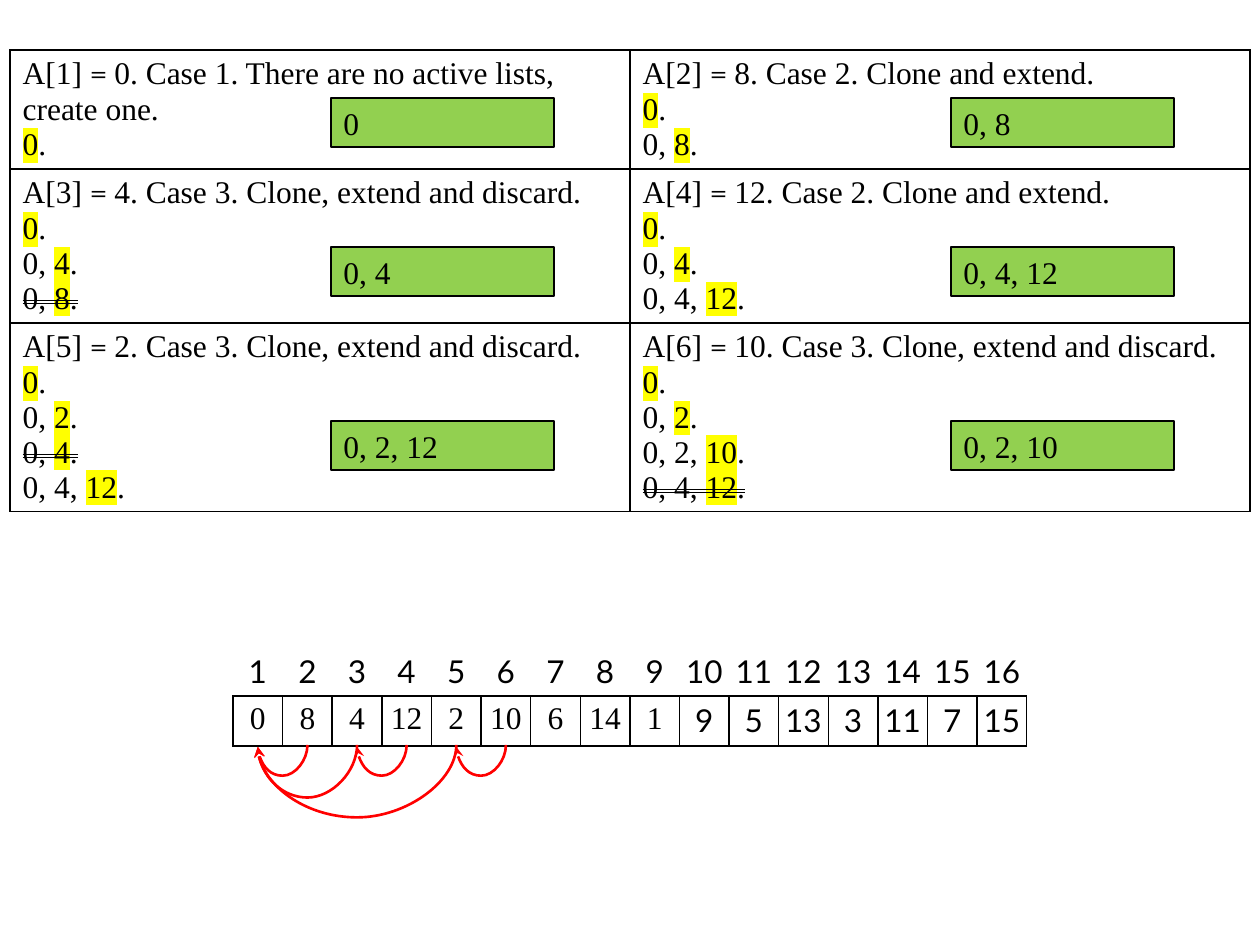
from dataclasses import dataclass

from lxml.etree import SubElement
from pptx import Presentation
from pptx.dml.color import RGBColor
from pptx.enum.shapes import MSO_CONNECTOR as Connector, MSO_SHAPE as Shape
from pptx.enum.text import MSO_ANCHOR as Anchor, PP_ALIGN as Align
from pptx.oxml.ns import qn
from pptx.util import Emu, Pt

EMU_PER_PX = 914400 / 126
COLORS = {"ink": "000000", "mark": "FFFF00", "list": "92D050", "link": "FF0000"}
SERIF, MATH, SANS = "Times New Roman", "Cambria", "Lato"


@dataclass
class Step:
    value: int
    case: str
    lists: list[str]
    longest: str
    discarded: int | None = None


@dataclass
class Link:
    start: int
    end: int
    depth: int


EXTEND = "Case 2. Clone and extend."
DISCARD = "Case 3. Clone, extend and discard."
STEPS = [
    Step(0, "Case 1. There are no active lists, create one.", ["0"], "0"),
    Step(8, EXTEND, ["0", "0, 8"], "0, 8"),
    Step(4, DISCARD, ["0", "0, 4", "0, 8"], "0, 4", discarded=2),
    Step(12, EXTEND, ["0", "0, 4", "0, 4, 12"], "0, 4, 12"),
    Step(2, DISCARD, ["0", "0, 2", "0, 4", "0, 4, 12"], "0, 2, 12", discarded=2),
    Step(10, DISCARD, ["0", "0, 2", "0, 2, 10", "0, 4, 12"], "0, 2, 10", discarded=3),
]
ARRAY = [0, 8, 4, 12, 2, 10, 6, 14, 1, 9, 5, 13, 3, 11, 7, 15]
SERIF_COUNT = 9
LINKS = [Link(2, 1, 31), Link(3, 1, 53), Link(6, 5, 31), Link(4, 3, 31), Link(5, 1, 73)]

# Layout, in px
STEPS_LEFT, STEPS_TOP, STEP_WIDTH = 10, 50, 620
STEP_HEIGHTS = [119, 154, 188]
LONGEST_LEFT, LONGEST_TOPS = 331, [98, 247, 421]
ARRAY_LEFT, ARRAY_TOP, ARRAY_WIDTH, ARRAY_ROW = 233, 646, 794, 50
LINK_DROP = 2


def px(length: float) -> Emu:
    return Emu(round(length * EMU_PER_PX))


def rgb(name: str) -> RGBColor:
    return RGBColor.from_string(COLORS[name])


def add_text(paragraph, text: str, *, font: str = SERIF, align=None,
             marked: bool = False, struck: bool = False) -> None:
    if align is not None:
        paragraph.alignment = align
    run = paragraph.add_run()
    run.text = text
    run.font.size, run.font.name = Pt(18), font
    run.font.color.rgb = rgb("ink")
    properties = run.font._element
    if struck:
        properties.set("strike", "dblStrike")
    if marked:
        highlight = SubElement(properties, qn("a:highlight"))
        SubElement(highlight, qn("a:srgbClr"), val=COLORS["mark"])
        properties.find(qn("a:solidFill")).addnext(highlight)


def style_cell(cell, sides: str) -> None:
    properties = cell._tc.get_or_add_tcPr()
    for side in sides:
        border = SubElement(properties, qn(f"a:ln{side}"), w=str(Pt(1)))
        fill = SubElement(border, qn("a:solidFill"))
        SubElement(fill, qn("a:srgbClr"), val=COLORS["ink"])
    cell.fill.background()


def add_grid(slide, left: int, top: int, width: int, heights: list[int], columns: int):
    table = slide.shapes.add_table(
        len(heights), columns, px(left), px(top), px(width), px(sum(heights))).table
    table.first_row = table.horz_banding = False
    for column in table.columns:
        column.width = px(width / columns)
    for row, height in zip(table.rows, heights):
        row.height = px(height)
    return table


def write_step(cell, number: int, step: Step) -> None:
    style_cell(cell, "LRTB")
    heading = cell.text_frame.paragraphs[0]
    add_text(heading, f"A[{number}] ")
    add_text(heading, "= ", font=MATH)
    add_text(heading, f"{step.value}. {step.case}")
    for index, numbers in enumerate(step.lists):
        line = cell.text_frame.add_paragraph()
        struck = index == step.discarded
        *earlier, last = numbers.split(", ")
        if earlier:
            add_text(line, ", ".join(earlier) + ", ", struck=struck)
        add_text(line, last, marked=True, struck=struck)
        add_text(line, ".", struck=struck)


def add_longest(slide, left: int, top: int, numbers: str) -> None:
    box = slide.shapes.add_shape(Shape.RECTANGLE, px(left), px(top), px(223), px(49))
    box.shadow.inherit = False
    box.fill.solid()
    box.fill.fore_color.rgb = rgb("list")
    box.line.color.rgb = rgb("ink")
    box.line.width = Pt(0.75)
    box.text_frame.word_wrap = True
    box.text_frame.vertical_anchor = Anchor.TOP
    add_text(box.text_frame.paragraphs[0], numbers, align=Align.LEFT)


def write_array_cell(cell, value: int, font: str, sides: str) -> None:
    style_cell(cell, sides)
    cell.margin_left = cell.margin_right = 0
    cell.margin_top = cell.margin_bottom = px(5)
    add_text(cell.text_frame.paragraphs[0], str(value), font=font, align=Align.CENTER)


def add_link(slide, link: Link) -> None:
    """Curve below the array, drawn upright and turned by a quarter."""
    pitch = ARRAY_WIDTH / len(ARRAY)
    span = (link.start - link.end) * pitch
    middle_x = ARRAY_LEFT + pitch * (link.start + link.end - 1) / 2
    middle_y = ARRAY_TOP + 2 * ARRAY_ROW
    left, right = middle_x - LINK_DROP / 2, middle_x + LINK_DROP / 2
    curve = slide.shapes.add_connector(
        Connector.CURVE, px(left), px(middle_y - span / 2),
        px(right), px(middle_y + span / 2))
    curve.line.color.rgb = rgb("link")
    curve.line.width = Pt(1.5)
    properties = curve._element.spPr
    properties.find(qn("a:xfrm")).set("rot", str(90 * 60000))
    adjustments = properties.find(qn("a:prstGeom")).find(qn("a:avLst"))
    SubElement(adjustments, qn("a:gd"), name="adj1",
               fmla=f"val {link.depth * 100000 // LINK_DROP}")
    SubElement(properties.find(qn("a:ln")), qn("a:tailEnd"), type="stealth")
    SubElement(properties, qn("a:effectLst"))


def main() -> None:
    deck = Presentation()
    deck.slide_width, deck.slide_height = px(1260), px(945)
    slide = deck.slides.add_slide(deck.slide_layouts[6])

    # Steps of the algorithm, with the longest list of each
    steps = add_grid(slide, STEPS_LEFT, STEPS_TOP, 2 * STEP_WIDTH, STEP_HEIGHTS, 2)
    for index, step in enumerate(STEPS):
        row, column = divmod(index, 2)
        write_step(steps.cell(row, column), index + 1, step)
        add_longest(slide, LONGEST_LEFT + column * STEP_WIDTH,
                    LONGEST_TOPS[row], step.longest)

    # Array with its indices
    array = add_grid(slide, ARRAY_LEFT, ARRAY_TOP, ARRAY_WIDTH, [ARRAY_ROW] * 2, len(ARRAY))
    for index, value in enumerate(ARRAY):
        label = array.cell(0, index)
        write_array_cell(label, index + 1, SANS, "B")
        label.vertical_anchor = Anchor.MIDDLE
        font = SERIF if index < SERIF_COUNT else SANS
        write_array_cell(array.cell(1, index), value, font, "LRTB")

    # Links to the previous elements
    for link in LINKS:
        add_link(slide, link)

    deck.save("out.pptx")


if __name__ == "__main__":
    main()
